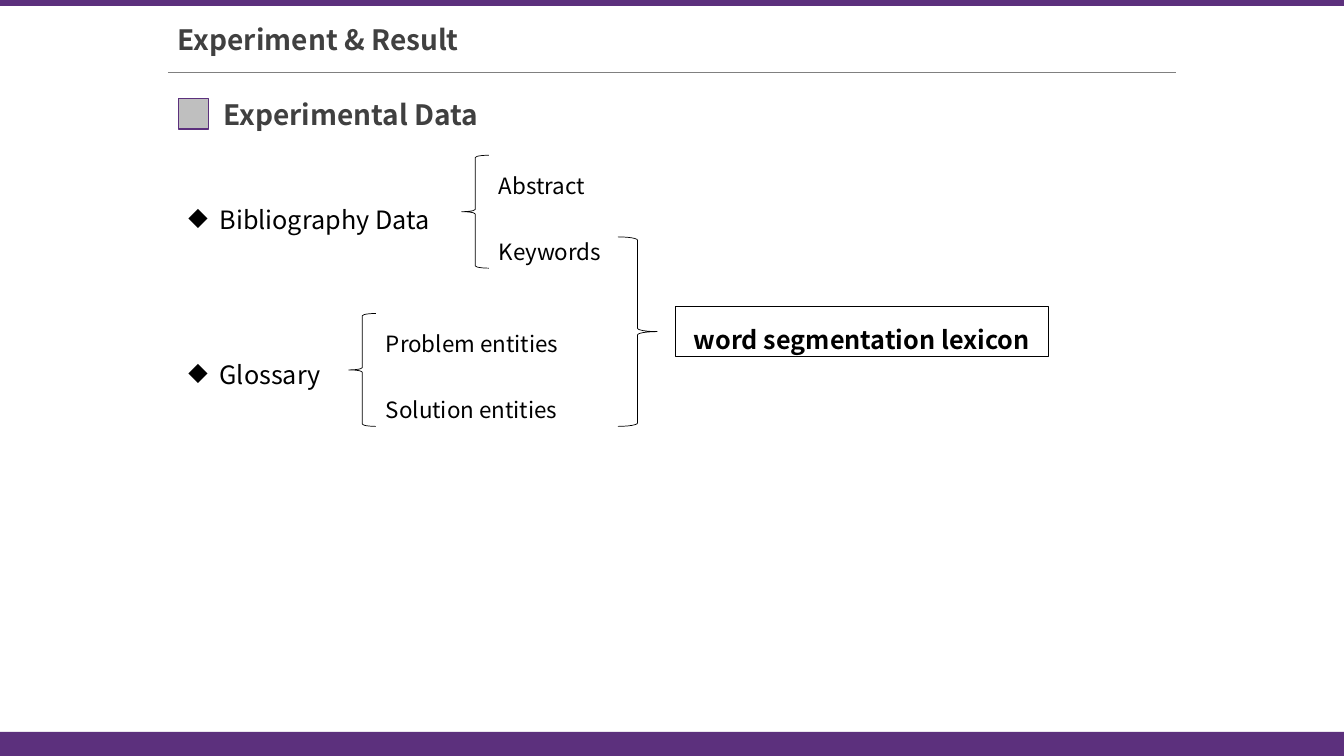
from lxml.etree import SubElement
from pptx import Presentation
from pptx.dml.color import RGBColor
from pptx.enum.shapes import MSO_CONNECTOR, MSO_SHAPE as Preset
from pptx.enum.text import MSO_ANCHOR, PP_ALIGN as Align
from pptx.oxml.ns import qn
from pptx.util import Inches, Pt

CELL = Inches(1 / 6)
COLUMNS, ROWS = 80, 45
PURPLE, INK, HEADING = "5C307D", "000000", "404040"
MARGIN, INDENT = 10, 10.62
BRACE_WIDTH, BRACE_HEIGHT = 1.62, 6.72
ITEM_HEIGHT, TOPIC_HEIGHT = 2.76, 3

deck = Presentation()
deck.slide_width, deck.slide_height = COLUMNS * CELL, ROWS * CELL
slide = deck.slides.add_slide(deck.slide_layouts[6])


def draw(preset, area, fill=None, line=None, weight=0.5):
    figure = slide.shapes.add_shape(preset, *[int(n * CELL) for n in area])
    figure.shadow.inherit = False
    if fill:
        figure.fill.solid()
        figure.fill.fore_color.rgb = RGBColor.from_string(fill)
    else:
        figure.fill.background()
    if line:
        figure.line.color.rgb = RGBColor.from_string(line)
        figure.line.width = Pt(weight)
    else:
        figure.line.fill.background()
    return figure


def write(text, area, size=16, color=INK, bold=False, align=Align.JUSTIFY,
          spacing=1.5, bullet=None, holder=None):
    holder = holder or slide.shapes.add_textbox(*[int(n * CELL) for n in area])
    frame = holder.text_frame
    frame.word_wrap = True
    frame.vertical_anchor = MSO_ANCHOR.MIDDLE
    paragraph = frame.paragraphs[0]
    paragraph.alignment, paragraph.line_spacing = align, spacing
    if bullet:
        properties = paragraph._p.get_or_add_pPr()
        properties.set("marL", str(Inches(0.31)))
        properties.set("indent", str(-Inches(0.31)))
        SubElement(properties, qn("a:buChar")).set("char", bullet)
    run = paragraph.add_run()
    run.text = text
    run.font.name, run.font.size, run.font.bold = "Noto Sans CJK SC", Pt(size), bold
    run.font.color.rgb = RGBColor.from_string(color)
    SubElement(run._r.get_or_add_rPr(), qn("a:ea")).set("typeface", "Noto Sans CJK SC")


for bar_top, bar_height in [(0, 0.36), (43.56, 1.44)]:
    draw(Preset.RECTANGLE, (0, bar_top, COLUMNS, bar_height), fill=PURPLE)

rule_row = int(4.32 * CELL)
title_rule = slide.shapes.add_connector(
    MSO_CONNECTOR.STRAIGHT, MARGIN * CELL, rule_row, (COLUMNS - MARGIN) * CELL, rule_row)
title_rule.line.color.rgb = RGBColor.from_string("808080")
title_rule.line.width = Pt(0.5)
SubElement(title_rule._element.spPr, qn("a:effectLst"))

for heading, area in [
    ("Experiment & Result", (MARGIN, 1.02, 20.7, 2.64)),
    ("Experimental Data", (12.72, 5.46, 49.14, 2.64)),
]:
    write(heading, area, size=20, color=HEADING, bold=True, align=Align.LEFT, spacing=1)
draw(Preset.RECTANGLE, (INDENT, 5.88, 1.8, 1.8), fill="BFBFBF", line=PURPLE, weight=1)

data_sources = [
    ("Bibliography Data", 11.1, 16, 27.48, 9.24, [("Abstract", 6.8), ("Keywords", 7.4)]),
    ("Glossary", 20.34, 10.2, 20.76, 18.66,
     [("Problem entities", 14.1), ("Solution entities", 12)]),
]
for topic, topic_top, topic_width, brace_left, brace_top, items in data_sources:
    write(topic, (INDENT, topic_top, topic_width, TOPIC_HEIGHT), size=18, bullet="◆")
    draw(Preset.LEFT_BRACE, (brace_left, brace_top, BRACE_WIDTH, BRACE_HEIGHT), line=INK)
    for index, (item, item_width) in enumerate(items):
        item_top = brace_top + index * (BRACE_HEIGHT - ITEM_HEIGHT)
        write(item, (brace_left + BRACE_WIDTH, item_top, item_width, ITEM_HEIGHT))

draw(Preset.RIGHT_BRACE, (36.78, 14.1, 2.34, 11.28), line=INK)
lexicon_area = (40.2, 18.24, 22.2, TOPIC_HEIGHT)
lexicon = draw(Preset.RECTANGLE, lexicon_area, line=INK, weight=0.75)
write("word segmentation lexicon", lexicon_area, size=18, bold=True,
      align=Align.CENTER, holder=lexicon)

deck.save("out.pptx")
